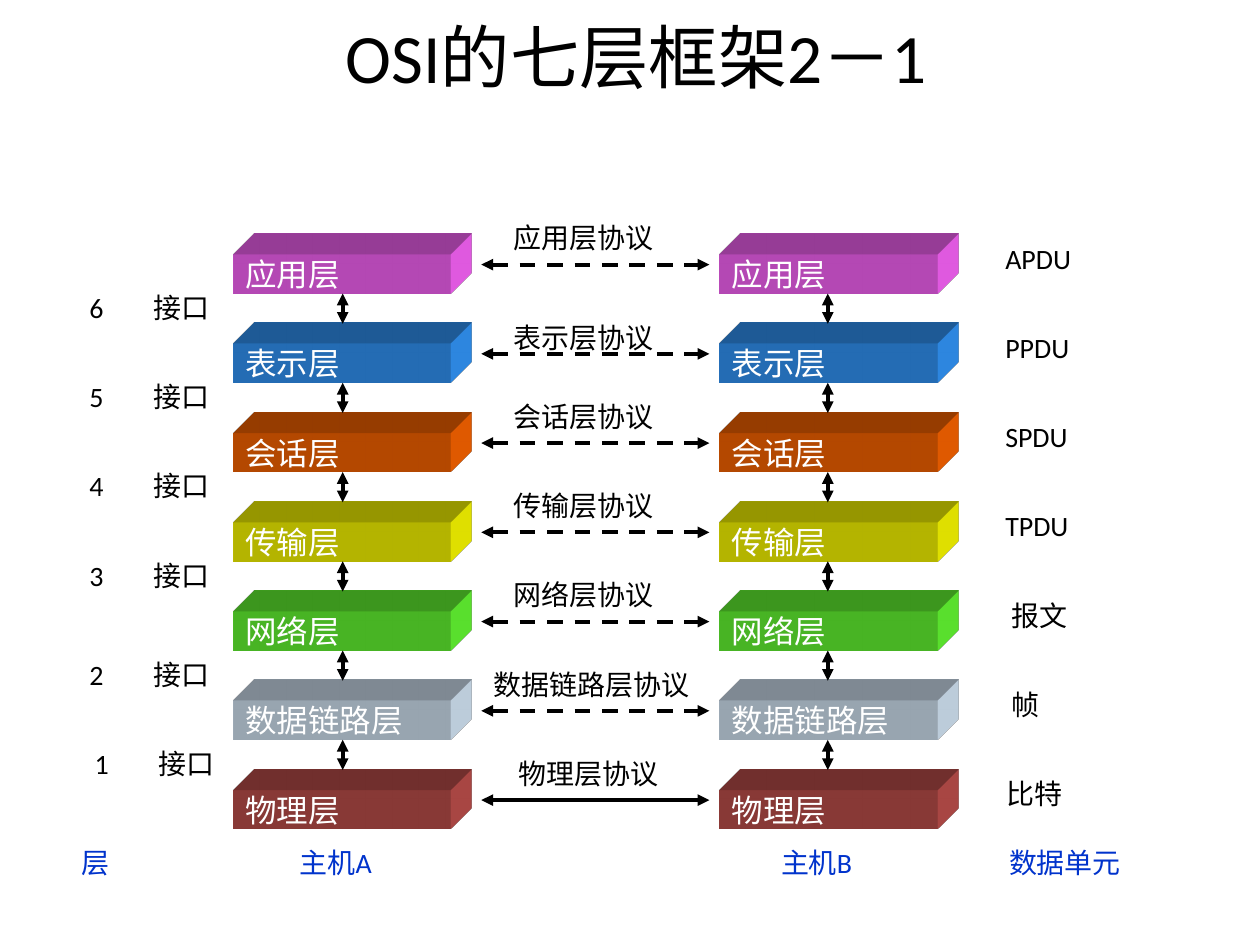
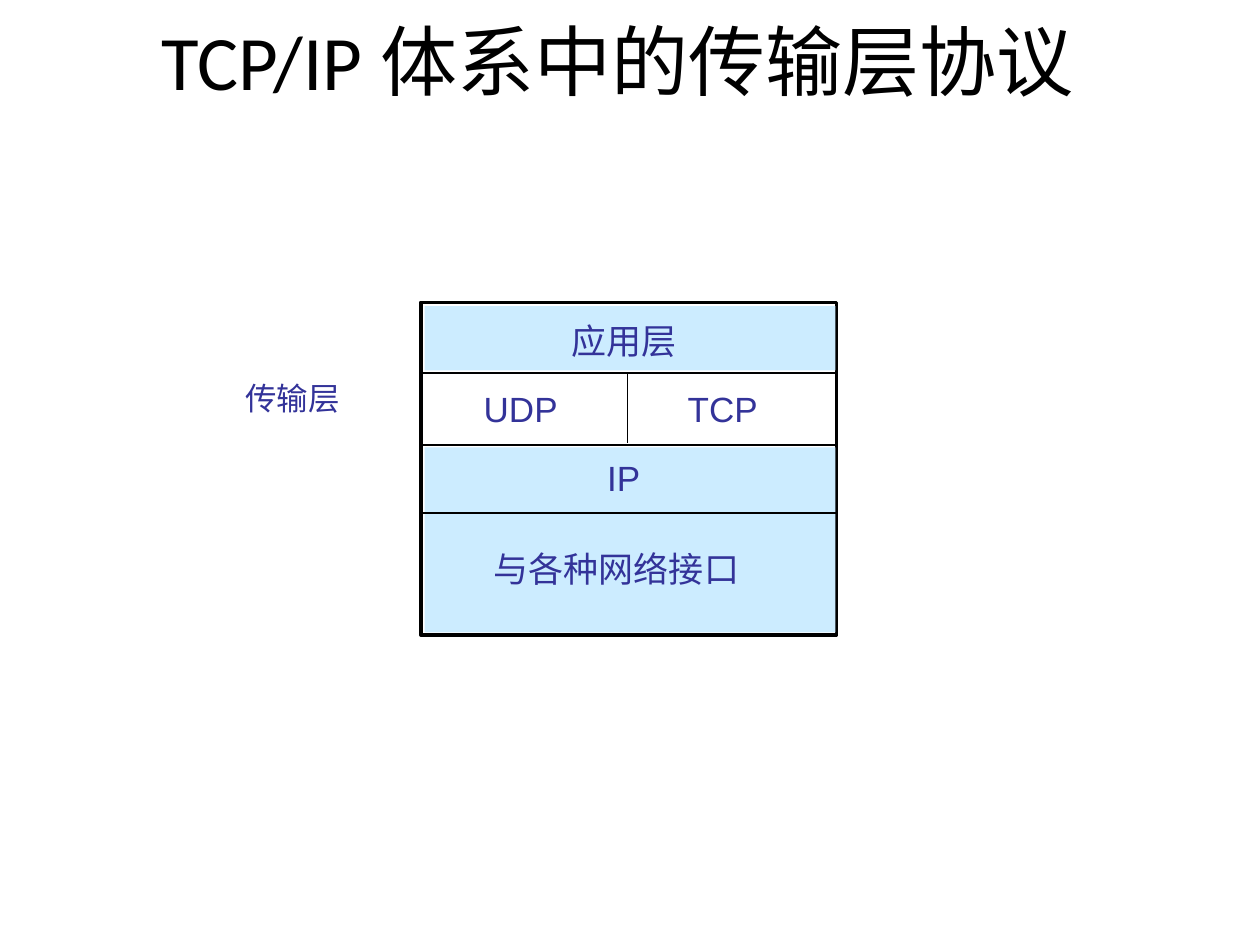
import pptx
import pptx.dml.color
import pptx.enum.dml
import pptx.enum.shapes
import pptx.enum.text
import pptx.oxml
import pptx.oxml.ns
import pptx.util

Inches = pptx.util.Inches
ANCHOR = pptx.enum.text.MSO_ANCHOR
ALIGN = pptx.enum.text.PP_ALIGN
NS = pptx.oxml.ns.nsdecls("a")

# Shared style
CJK, LATIN, ARIAL = "Noto Sans CJK SC", "Calibri", "Arial"
BLACK, WHITE, BLUE, INDIGO, PALE = "000000", "FFFFFF", "0033CC", "333399", "CCECFF"

# Seven layers, top to bottom: name, colour, data unit, unit font
LAYERS = [
    ("应用层", "FF66FF", "APDU", LATIN),
    ("表示层", "3399FF", "PPDU", LATIN),
    ("会话层", "FF6600", "SPDU", LATIN),
    ("传输层", "FFFF00", "TPDU", LATIN),
    ("网络层", "66FF33", " 报文", CJK),
    ("数据链路层", "D7E9F9", " 帧", CJK),
    ("物理层", "C0504D", " 比特", CJK),
]
HOSTS = [(1.85, 2.72), (5.71, 6.57)]  # bar left, arrow x
BAR_TOP, BAR_W, BAR_H = 2.02, 1.73, 0.31
PITCH = 4.25 / 6
LABEL_W, LABEL_H = 1.38, 0.37


def rgb(color):
    return pptx.dml.color.RGBColor.from_string(color)


def xml(parent, markup):
    parent.append(pptx.oxml.parse_xml(markup))


def write(tf, text, size=16, font=CJK, color=BLACK, align=ALIGN.LEFT,
          anchor=ANCHOR.TOP, wrap=True, grow=False):
    """Fill a text frame; text is a string or a list of (text, font) runs."""
    fit = pptx.enum.text.MSO_AUTO_SIZE
    tf.word_wrap = wrap
    tf.auto_size = fit.SHAPE_TO_FIT_TEXT if grow else fit.NONE
    tf.vertical_anchor = anchor
    p = tf.paragraphs[0]
    p.alignment = align
    for part, face in [(text, font)] if isinstance(text, str) else text:
        r = p.add_run()
        r.text = part
        r.font.name = face
        r.font.size = pptx.util.Pt(size)
        r.font.color.rgb = rgb(color)
        xml(r.font._element, f'<a:ea {NS} typeface="{CJK}"/>')


def add_title(s, text, x, y, w, h, size):
    sp = s.shapes.title
    sp.left, sp.top, sp.width, sp.height = map(Inches, (x, y, w, h))
    write(sp.text_frame, text, size=size, font=LATIN, align=ALIGN.CENTER,
          anchor=ANCHOR.MIDDLE)


def add_rect(s, x, y, w, h, fill, line_width=None):
    sp = s.shapes.add_shape(pptx.enum.shapes.MSO_SHAPE.RECTANGLE,
                            *map(Inches, (x, y, w, h)))
    sp.shadow.inherit = False
    sp.fill.solid()
    sp.fill.fore_color.rgb = rgb(fill)
    if line_width:
        sp.line.color.rgb = rgb(BLACK)
        sp.line.width = pptx.util.Pt(line_width)
    else:
        sp.line.fill.background()
    return sp


def add_bar(s, x, y, name, color):
    """Layer block, extruded up and to the right."""
    sp = add_rect(s, x, y, BAR_W, BAR_H, color)
    pr = sp._element.spPr
    xml(pr, f'<a:scene3d {NS}><a:camera prst="legacyObliqueTopRight"/>'
            '<a:lightRig rig="legacyFlat3" dir="b"/></a:scene3d>')
    xml(pr, f'<a:sp3d {NS} extrusionH="430200" prstMaterial="legacyMatte">'
            f'<a:extrusionClr><a:srgbClr val="{color}"/></a:extrusionClr></a:sp3d>')
    write(sp.text_frame, name, size=18, color=WHITE, anchor=ANCHOR.MIDDLE, wrap=False)


def add_line(s, x1, y1, x2, y2, width=1, arrows=False, dashed=False):
    c = s.shapes.add_connector(pptx.enum.shapes.MSO_CONNECTOR.STRAIGHT,
                               *map(Inches, (x1, y1, x2, y2)))
    c.line.color.rgb = rgb(BLACK)
    c.line.width = pptx.util.Pt(width)
    if dashed:
        c.line.dash_style = pptx.enum.dml.MSO_LINE.DASH
    if arrows:
        for end in ("headEnd", "tailEnd"):
            xml(c.line._get_or_add_ln(), f'<a:{end} {NS} type="triangle"/>')
    xml(c._element.spPr, f"<a:effectLst {NS}/>")


def add_text(s, text, x, y, w, h, **fmt):
    sp = s.shapes.add_textbox(*map(Inches, (x, y, w, h)))
    write(sp.text_frame, text, grow=True, **fmt)
    return sp


def add_label(s, text, x, y, w=LABEL_W, **fmt):
    return add_text(s, text, x, y, w, LABEL_H, anchor=ANCHOR.BOTTOM, **fmt)


def add_interface(s, number, x, y):
    """Interface number and word, set apart by a tab stop."""
    sp = add_label(s, f"{number}\t接口", x, y, font=LATIN)
    sp.text_frame.margin_left = Inches(0.32)
    p_pr = sp.text_frame.paragraphs[0]._p.get_or_add_pPr()
    xml(p_pr, f'<a:tabLst {NS}><a:tab pos="{Inches(0.51)}" algn="l"/></a:tabLst>')


def build_osi(s):
    add_title(s, "OSI的七层框架2－1", 0.55, 0.16, 9, 0.56, 39.6)
    last = len(LAYERS) - 1

    # Blocks, from the bottom up
    for i in range(last, -1, -1):
        for x, _ in HOSTS:
            add_bar(s, x, BAR_TOP + i * PITCH, LAYERS[i][0], LAYERS[i][1])

    for i, (name, _, unit, unit_font) in enumerate(LAYERS):
        step = i * PITCH
        # Protocol between the hosts
        add_line(s, 3.82, 2.1 + step, 5.63, 2.1 + step, 2.25,
                 arrows=True, dashed=i < last)
        wide = len(name) > 3
        x = 3.82 if wide else 4.02 if i == last else 3.98
        add_label(s, name + "协议", x, 1.7 + step + (0.08 if i == 1 else 0),
                  w=2.05 if wide else LABEL_W)
        # Data unit
        add_label(s, unit, 7.84 if i == last else 7.88, 1.86 + step, font=unit_font)
        # Interface to the layer below
        if i < last:
            for _, x in HOSTS:
                add_line(s, x, 2.33 + step, x, 2.57 + step, 2.25, arrows=True)
            add_interface(s, last - i, 0.43 if i == last - 1 else 0.39,
                          2.25 + step + (0.08 if i >= 4 else 0))

    # Column captions
    for text, x in [("层", 0.55), ([("主机", CJK), ("A", LATIN)], 2.28),
                    ([("主机", CJK), ("B", LATIN)], 6.1), ("数据单元", 7.91)]:
        add_label(s, text, x, 6.66, color=BLUE)


def build_tcp_ip(s):
    add_title(s, "TCP/IP 体系中的传输层协议 ", 0.47, 0, 9, 0.95, 44)

    # Stack frame, bands and dividers
    left, right = 3.34, 6.64
    add_rect(s, left, 2.4, right - left, 2.64, WHITE, line_width=2)
    for y, h in [(2.43, 0.51), (3.55, 1.47)]:
        add_rect(s, 3.37, y, 3.26, h, PALE)
    for y in (2.96, 3.53, 4.07):
        add_line(s, left, y, right, y)
    add_line(s, 4.98, 2.97, 4.98, 3.52)

    # Protocol names, in boxes wide enough for one line
    style = dict(size=20, font=ARIAL, color=INDIGO)
    for text, x, y, w in [("应用层", 4.44, 2.49, 1.1), ("UDP", 3.74, 3.03, 0.79),
                          ("TCP", 5.36, 3.03, 0.76)]:
        add_text(s, text, x, y, w, 0.43, wrap=False, **style)
    ip = add_rect(s, 4.72, 3.57, 0.46, 0.43, PALE)
    write(ip.text_frame, "IP", wrap=False, grow=True, **style)
    add_text(s, "与各种网络接口", 3.82, 4.3, 2.52, 0.43, **style)
    add_text(s, "传输层", 1.85, 2.96, 0.96, 0.4, size=18, font=LATIN,
             color=INDIGO, wrap=False)


def main():
    prs = pptx.Presentation()
    prs.slide_width, prs.slide_height = Inches(10), Inches(7.5)
    for build in (build_osi, build_tcp_ip):
        build(prs.slides.add_slide(prs.slide_layouts[5]))
    prs.save("out.pptx")


main()
